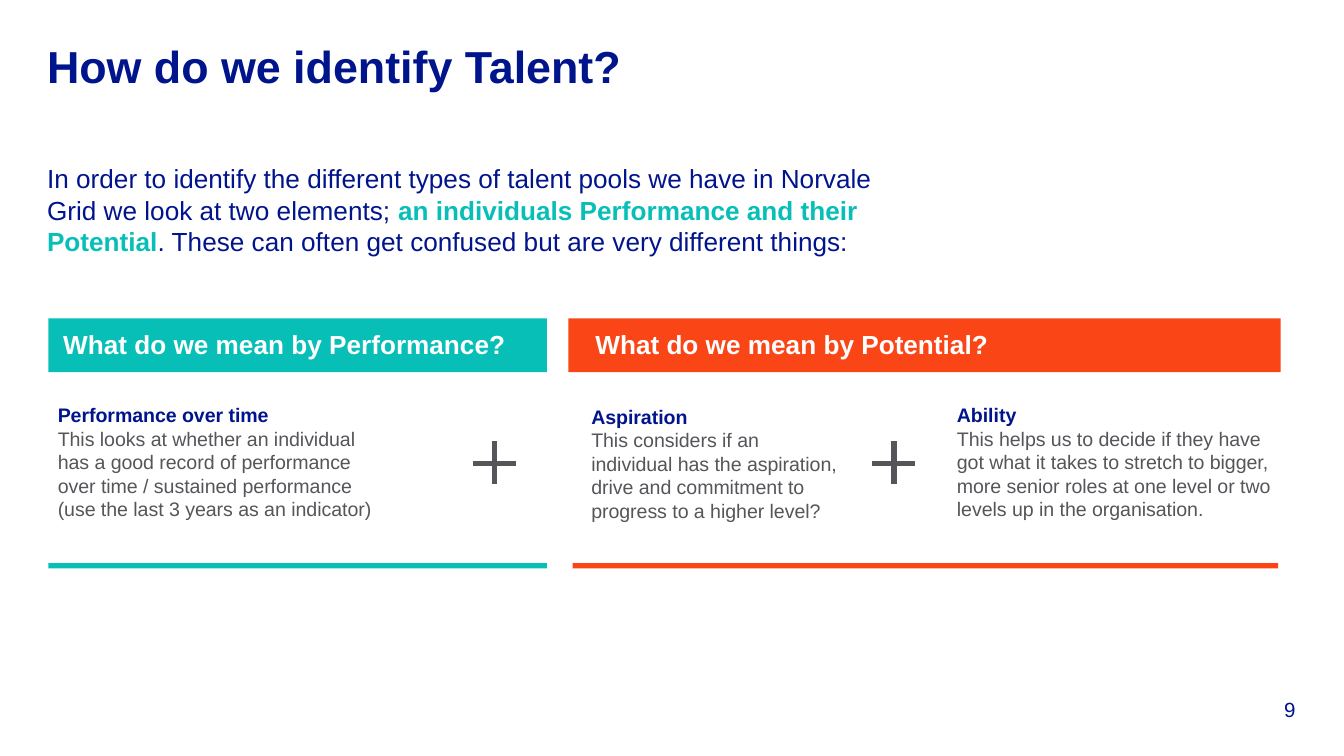
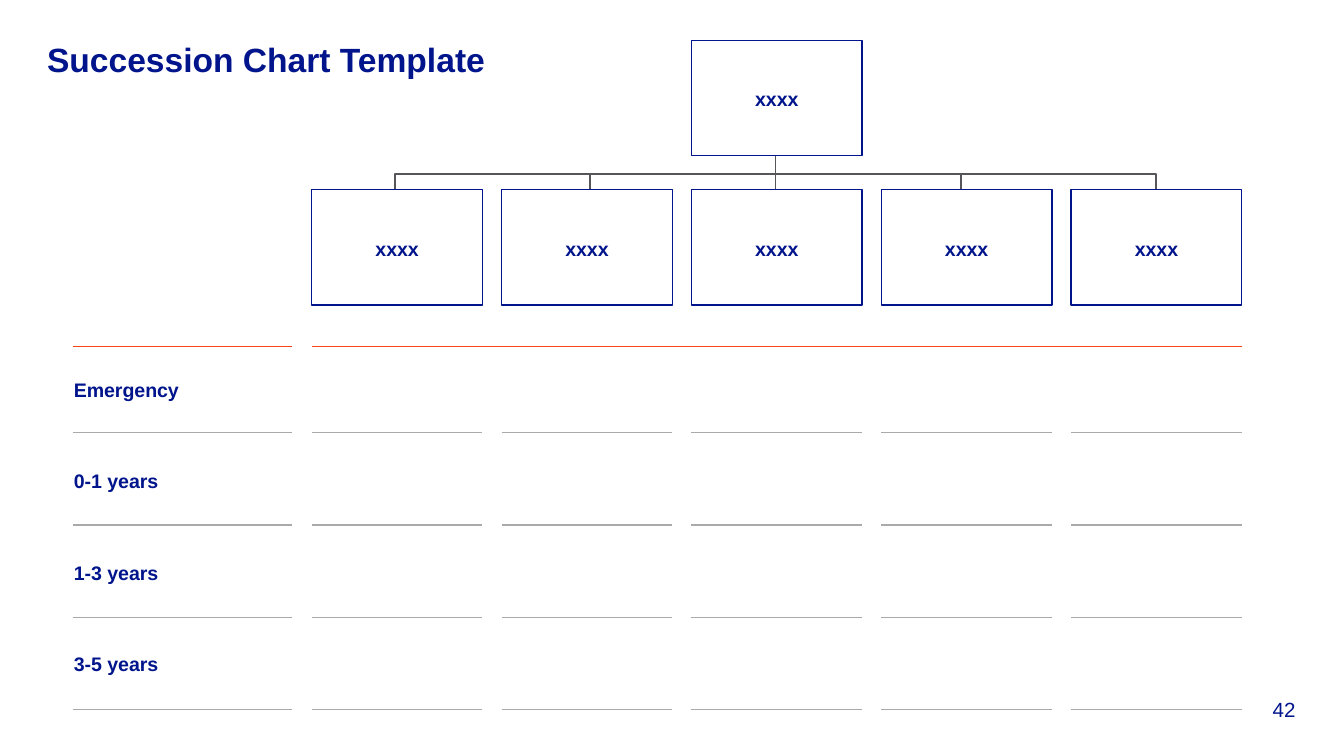
import pptx
import pptx.util
import pptx.dml.color
import pptx.enum.shapes
import pptx.enum.text
import pptx.oxml.ns
import lxml.etree

Inches, Pt = pptx.util.Inches, pptx.util.Pt
RGB = pptx.dml.color.RGBColor.from_string
ALIGN = pptx.enum.text.PP_ALIGN
ANCHOR = pptx.enum.text.MSO_ANCHOR
CONNECTOR = pptx.enum.shapes.MSO_CONNECTOR
RECT = pptx.enum.shapes.MSO_SHAPE.RECTANGLE

COLOURS = {
    "navy": "00148C",
    "teal": "07BFB7",
    "orange": "FA4616",
    "grey": "55555A",
    "rule": "AAAAAC",
    "white": "FFFFFF",
}


def add_text(s, box, paragraphs, size, align=ALIGN.LEFT, anchor=ANCHOR.TOP):
    """Add a text box; each paragraph is a list of (text, colour, bold) runs."""
    tf = s.shapes.add_textbox(*map(Inches, box)).text_frame
    tf.word_wrap = True
    tf.vertical_anchor = anchor
    tf.margin_left = tf.margin_right = tf.margin_top = tf.margin_bottom = 0
    for i, runs in enumerate(paragraphs):
        p = tf.add_paragraph() if i else tf.paragraphs[0]
        p.alignment = align
        for text, colour, bold in runs:
            r = p.add_run()
            r.text = text
            r.font.name = "Arial"
            r.font.size = Pt(size)
            r.font.bold = bold
            r.font.color.rgb = RGB(COLOURS[colour])


def add_line(s, x1, y1, x2, y2, colour, weight, kind=CONNECTOR.STRAIGHT):
    line = s.shapes.add_connector(kind, *map(Inches, (x1, y1, x2, y2)))
    line.line.color.rgb = RGB(COLOURS[colour])
    line.line.width = Pt(weight)
    lxml.etree.SubElement(line._element.spPr, pptx.oxml.ns.qn("a:effectLst"))
    return line


prs = pptx.Presentation()
prs.slide_width = Inches(10)
prs.slide_height = Inches(10 * 9 / 16)

# Title and page number on every slide
slides = []
for title, size, number in [("How do we identify Talent?", 24, "9"),
                            ("Succession Chart Template", 18, "42")]:
    s = prs.slides.add_slide(prs.slide_layouts[6])
    add_text(s, (0.35, 0.29, 9.29, 0.48), [[(title, "navy", True)]], size)
    add_text(s, (9.06, 5.18, 0.58, 0.19), [[(number, "navy", False)]], 11,
             ALIGN.RIGHT, ANCHOR.BOTTOM)
    slides.append(s)
talent, succession = slides

# Talent: introduction
add_text(talent, (0.35, 1.21, 6.45, 0.71), [[
    ("In order to identify the different types of talent pools we have in Norvale "
     "Grid we look at two elements; ", "navy", False),
    ("an individuals Performance and their Potential", "teal", True),
    (". These can often get confused but are very different things:", "navy", False),
]], 14)

# Talent: header bands and closing bars
for x, y, w, h, colour in [(0.36, 2.37, 3.71, 0.4, "teal"),
                           (4.23, 2.37, 5.3, 0.4, "orange"),
                           (0.36, 4.19, 3.71, 0.04, "teal"),
                           (4.26, 4.19, 5.25, 0.04, "orange")]:
    bar = talent.shapes.add_shape(RECT, *map(Inches, (x, y, w, h)))
    bar.shadow.inherit = False
    bar.fill.solid()
    bar.fill.fore_color.rgb = RGB(COLOURS[colour])
    bar.line.fill.background()

for x, heading in [(0.47, "What do we mean by Performance?"),
                   (4.43, "What do we mean by Potential?")]:
    add_text(talent, (x, 2.44, 3.6, 0.24), [[(heading, "white", True)]], 14)

# Talent: the three elements, with plus signs between them
for x, y, w, heading, body in [
    (0.43, 3, 2.38, "Performance over time",
     "This looks at whether an individual has a good record of performance over "
     "time / sustained performance (use the last 3 years as an indicator)"),
    (4.4, 3.01, 1.87, "Aspiration",
     "This considers if an individual has the aspiration, drive and commitment to "
     "progress to a higher level?"),
    (7.12, 3, 2.38, "Ability",
     "This helps us to decide if they have got what it takes to stretch to bigger, "
     "more senior roles at one level or two levels up in the organisation."),
]:
    add_text(talent, (x, y, w, 0.88),
             [[(heading, "navy", True)], [(body, "grey", False)]], 10.5)

for x in (3.68, 6.65):
    add_line(talent, x, 3.28, x, 3.6, "grey", 3)
    add_line(talent, x + 0.16, 3.45, x - 0.16, 3.45, "grey", 3)

# Succession: time bands
BOX_W, BOX_H = 1.27, 0.86
columns = [2.32 + (7.97 - 2.32) / 4 * i for i in range(5)]
label_left, label_right = 0.54, 2.17
add_line(succession, label_left, 2.58, label_right, 2.58, "orange", 0.75)
add_line(succession, columns[0], 2.58, columns[-1] + BOX_W, 2.58, "orange", 0.75)
for i, band in enumerate(["Emergency", "0-1 years", "1-3 years", "3-5 years"]):
    add_text(succession, (0.55, 2.81 + 0.68 * i, 1.15, 0.18),
             [[(band, "navy", True)]], 10.5)
    y = 3.22 + (5.28 - 3.22) / 3 * i
    add_line(succession, label_left, y, label_right, y, "rule", 0.75)
    for x in columns:
        add_line(succession, x, y, x + BOX_W, y, "rule", 0.75)

# Succession: elbows are laid out sideways, then turned to run bottom to top
trunk, elbow_top, elbow_bottom = 5.77, 1.1, 1.49
add_line(succession, trunk, 1.29, trunk, 1.63, "grey", 1)
cy, half_rise = (elbow_top + elbow_bottom) / 2, (elbow_bottom - elbow_top) / 2
for offset in (-2.83, -1.38, 1.38, 2.83):
    cx, half_run = trunk + offset / 2, abs(offset) / 2
    rise, angle = (half_rise, 90) if offset < 0 else (-half_rise, 270)
    elbow = add_line(succession, cx + rise, cy + half_run, cx - rise, cy - half_run,
                     "grey", 1, CONNECTOR.ELBOW)
    elbow._element.spPr.xfrm.set("rot", str(angle * 60000))

# Succession: the leading role and its five reports
for x, y in [(columns[2], 0.3)] + [(x, 1.41) for x in columns]:
    role = succession.shapes.add_shape(RECT, *map(Inches, (x, y, BOX_W, BOX_H)))
    role.shadow.inherit = False
    role.fill.solid()
    role.fill.fore_color.rgb = RGB(COLOURS["white"])
    role.line.color.rgb = RGB(COLOURS["navy"])
    role.line.width = Pt(0.75)
    add_text(succession, (x + 0.06, y + 0.35, 1.15, 0.18),
             [[("xxxx", "navy", True)]], 10.5, ALIGN.CENTER)

prs.save("out.pptx")
